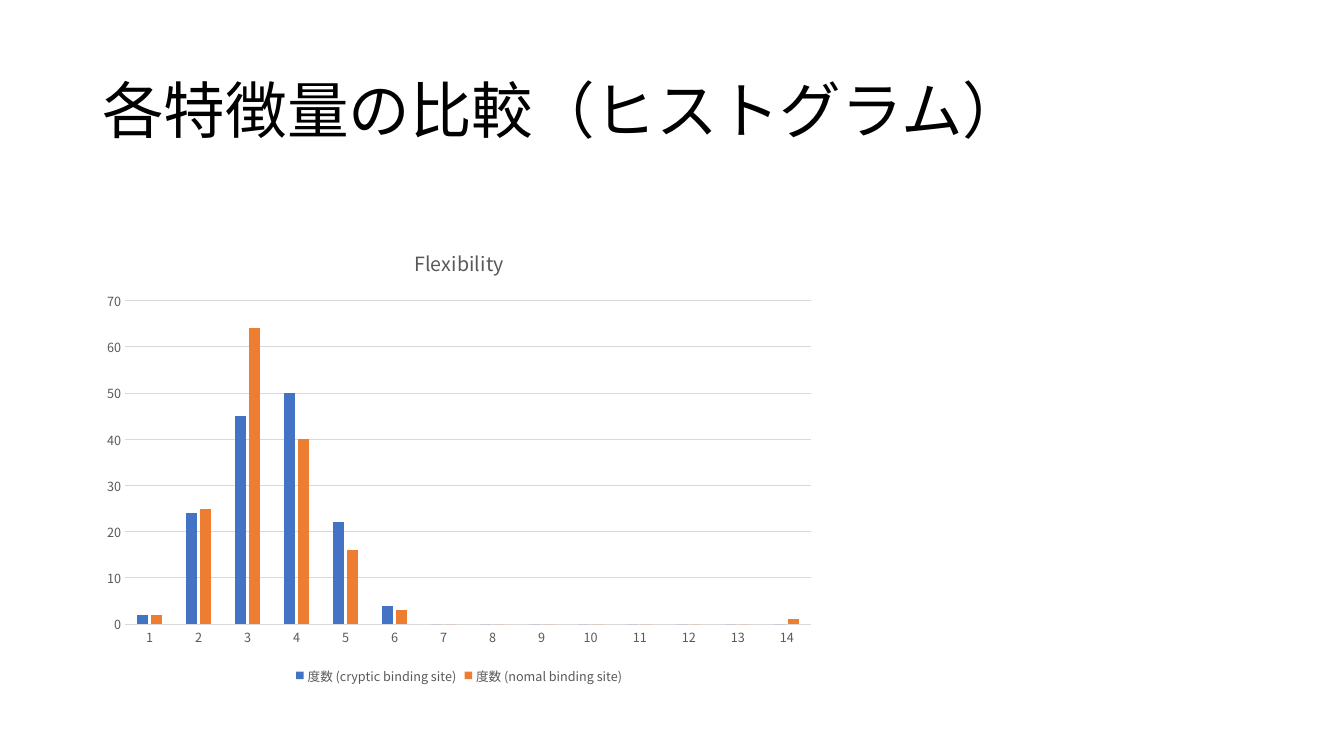
from dataclasses import dataclass

from lxml.etree import SubElement
from pptx import Presentation
from pptx.chart.data import CategoryChartData
from pptx.dml.color import RGBColor
from pptx.enum.chart import XL_CHART_TYPE as ChartType
from pptx.enum.chart import XL_LEGEND_POSITION as LegendPosition
from pptx.enum.chart import XL_TICK_MARK as TickMark
from pptx.enum.text import MSO_ANCHOR as Anchor
from pptx.oxml.ns import qn
from pptx.text.text import Font
from pptx.util import Pt


@dataclass(frozen=True)
class Theme:
    typeface: str = "Noto Sans CJK JP"
    black: RGBColor = RGBColor(0x00, 0x00, 0x00)
    label: RGBColor = RGBColor(0x59, 0x59, 0x59)
    rule: RGBColor = RGBColor(0xD9, 0xD9, 0xD9)
    heading_size: float = 44
    chart_title_size: float = 14
    chart_size: float = 10
    label_size: float = 9
    rule_width: float = 0.75


@dataclass(frozen=True)
class Site:
    name: str
    frequencies: tuple[int, ...]
    color: RGBColor


THEME = Theme()
BIN_COUNT = 14
SITES = (
    Site("度数 (cryptic binding site)", (2, 24, 45, 50, 22, 4) + (0,) * 8,
         RGBColor(0x44, 0x72, 0xC4)),
    Site("度数 (nomal binding site)", (2, 25, 64, 40, 16, 3) + (0,) * 7 + (1,),
         RGBColor(0xED, 0x7D, 0x31)),
)


def style_font(font: Font, size: float, color: RGBColor) -> None:
    """Set size, colour and the typeface for both Latin and Japanese text."""
    font.size = Pt(size)
    font.bold = False
    font.color.rgb = color
    font.name = THEME.typeface
    SubElement(font._element, qn("a:ea")).set("typeface", THEME.typeface)


def style_rule(line) -> None:
    line.color.rgb = THEME.rule
    line.width = Pt(THEME.rule_width)


def add_heading(slide, text: str) -> None:
    frame = slide.shapes.add_textbox(Pt(66), Pt(28.75), Pt(828), Pt(104.4)).text_frame
    frame.word_wrap = True
    frame.vertical_anchor = Anchor.MIDDLE
    frame.text = text
    paragraph = frame.paragraphs[0]
    paragraph.line_spacing = 0.9
    style_font(paragraph.runs[0].font, THEME.heading_size, THEME.black)


def add_histogram(slide, title: str, sites: tuple[Site, ...]) -> None:
    histogram = CategoryChartData()
    histogram.categories = [str(bin_number) for bin_number in range(1, BIN_COUNT + 1)]
    for site in sites:
        histogram.add_series(site.name, site.frequencies)
    chart = slide.shapes.add_chart(
        ChartType.COLUMN_CLUSTERED, Pt(66), Pt(162.75), Pt(524), Pt(329), histogram
    ).chart
    style_font(chart.font, THEME.chart_size, THEME.black)

    chart.has_title = True
    chart.chart_title.include_in_layout = False
    chart.chart_title.text_frame.text = title
    title_run = chart.chart_title.text_frame.paragraphs[0].runs[0]
    style_font(title_run.font, THEME.chart_title_size, THEME.label)

    chart.has_legend = True
    chart.legend.position = LegendPosition.BOTTOM
    chart.legend.include_in_layout = False
    style_font(chart.legend.font, THEME.label_size, THEME.label)

    for axis in (chart.category_axis, chart.value_axis):
        axis.major_tick_mark = TickMark.NONE
        axis.minor_tick_mark = TickMark.NONE
        style_font(axis.tick_labels.font, THEME.label_size, THEME.label)
    style_rule(chart.category_axis.format.line)

    frequency_axis = chart.value_axis
    frequency_axis.minimum_scale = 0
    frequency_axis.maximum_scale = 70
    frequency_axis.major_unit = 10
    frequency_axis.format.line.fill.background()
    style_rule(frequency_axis.major_gridlines.format.line)

    plot = chart.plots[0]
    plot.gap_width = 219
    plot.overlap = -27
    plot.vary_by_categories = False
    for series, site in zip(plot.series, sites):
        series.format.fill.solid()
        series.format.fill.fore_color.rgb = site.color


def main() -> None:
    deck = Presentation()
    deck.slide_width, deck.slide_height = Pt(960), Pt(540)
    slide = deck.slides.add_slide(deck.slide_layouts[6])
    add_histogram(slide, "Flexibility", SITES)
    add_heading(slide, "各特徴量の比較（ヒストグラム）")
    deck.save("out.pptx")


if __name__ == "__main__":
    main()
